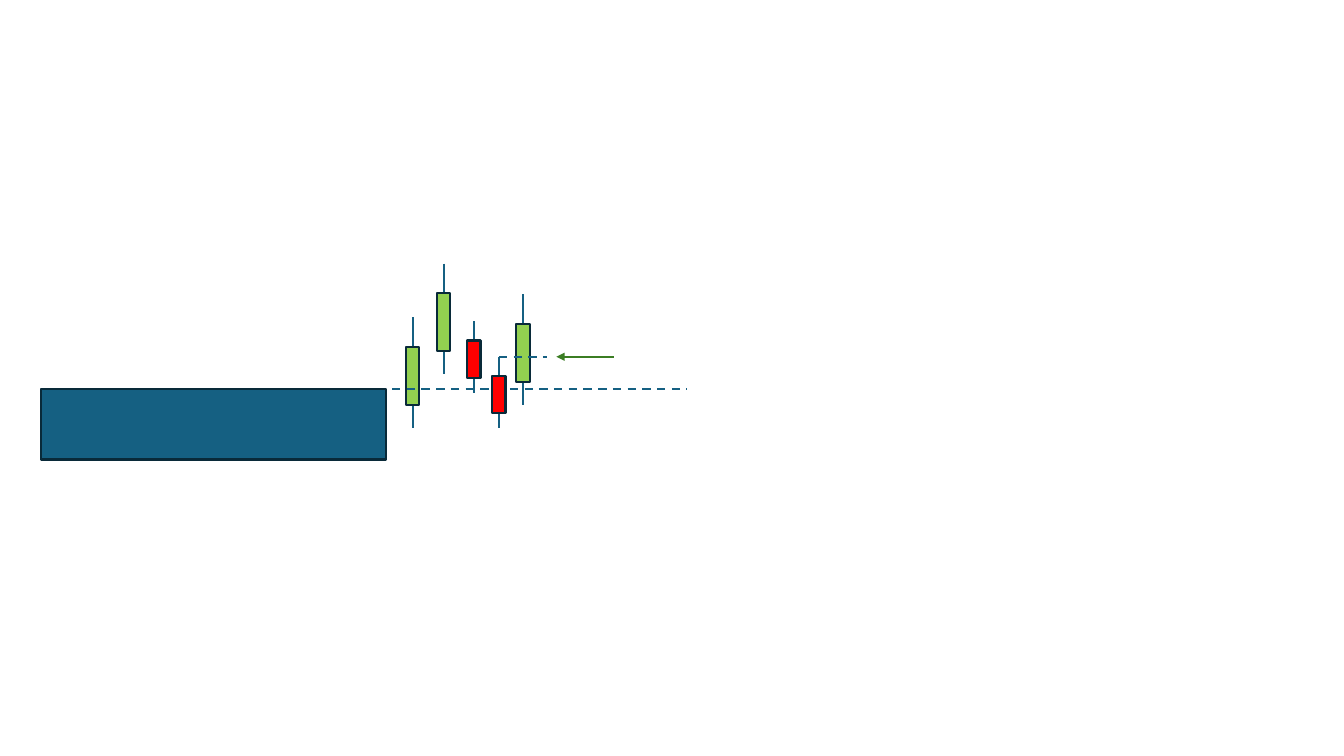
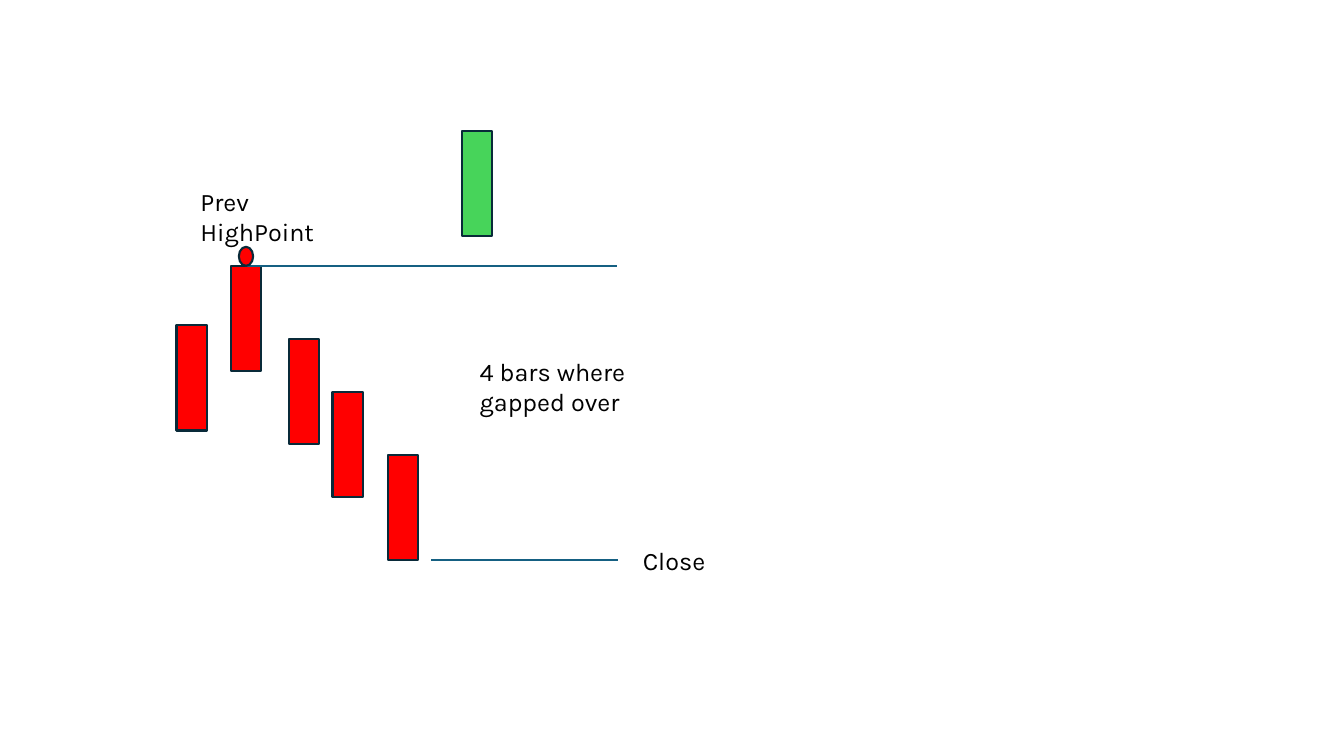
from pptx import Presentation
from pptx.dml.color import RGBColor
from pptx.enum.dml import MSO_LINE_DASH_STYLE as Dash
from pptx.enum.shapes import MSO_CONNECTOR as Connector, MSO_SHAPE as Shape
from pptx.enum.text import MSO_AUTO_SIZE as AutoSize
from pptx.oxml.ns import qn
from pptx.util import Cm, Pt
from lxml.etree import SubElement

BLUE, NAVY, BLACK = "156082", "092A39", "000000"
RED, LIME, GREEN, DARK_GREEN = "FF0000", "92D050", "47D45A", "3B7D23"


def rgb(value):
    return RGBColor.from_string(value)


class Deck:
    """Holds the shared style and the slide being drawn; lengths are in cm."""

    font, font_size, line_width = "Karla", 18, 1.5
    candle_width = 0.34
    bar_width, bar_height = 0.76, 2.65
    # Candle kind: colour, wick length, upper wick, body height
    candles = {
        "up": (LIME, 2.78, 0.74, 1.46),
        "down": (RED, 1.8, 0.48, 0.95),
    }

    def __init__(self):
        self.presentation = Presentation()
        self.presentation.slide_width = Cm(33.87)
        self.presentation.slide_height = Cm(19.05)
        self.slide = None

    def new_slide(self):
        blank = self.presentation.slide_layouts[6]
        self.slide = self.presentation.slides.add_slide(blank)

    def shape(self, left, top, width, height, fill, kind=Shape.RECTANGLE):
        shape = self.slide.shapes.add_shape(
            kind, Cm(left), Cm(top), Cm(width), Cm(height))
        shape.shadow.inherit = False
        shape.fill.solid()
        shape.fill.fore_color.rgb = rgb(fill)
        shape.line.color.rgb = rgb(NAVY)
        shape.line.width = Pt(self.line_width)

    def line(self, x1, y1, x2, y2, color=BLUE, dashed=False, arrow=False):
        connector = self.slide.shapes.add_connector(
            Connector.STRAIGHT, Cm(x1), Cm(y1), Cm(x2), Cm(y2))
        connector.line.color.rgb = rgb(color)
        connector.line.width = Pt(self.line_width)
        if dashed:
            connector.line.dash_style = Dash.DASH
        if arrow:
            outline = connector.line._get_or_add_ln()
            SubElement(outline, qn("a:tailEnd"), type="triangle")
        SubElement(connector._element.spPr, qn("a:effectLst"))

    def candle(self, kind, center, high):
        fill, wick, upper_wick, body = self.candles[kind]
        self.line(center, high, center, high + wick)
        self.shape(center - self.candle_width / 2, high + upper_wick,
                   self.candle_width, body, fill)

    def bar(self, left, top, fill=RED):
        self.shape(left, top, self.bar_width, self.bar_height, fill)

    def label(self, text, left, top, width, height):
        box = self.slide.shapes.add_textbox(
            Cm(left), Cm(top), Cm(width), Cm(height))
        frame = box.text_frame
        frame.word_wrap = True
        frame.auto_size = AutoSize.SHAPE_TO_FIT_TEXT
        run = frame.paragraphs[0].add_run()
        run.text = text
        run.font.name = self.font
        run.font.size = Pt(self.font_size)
        run.font.color.rgb = rgb(BLACK)


def draw_zone_retest(deck):
    deck.new_slide()
    zone_top, entry = 9.8, 8.99

    # Price zone and the candles its level crosses
    deck.shape(1.04, zone_top, 8.69, 1.78, BLUE)
    deck.candle("down", 11.94, 8.1)
    deck.candle("up", 10.4, 8)
    deck.line(9.88, zone_top, 17.32, zone_top, dashed=True)

    # Candles in front of the level
    for kind, center, high in (("up", 11.18, 6.64), ("down", 12.57, entry),
                               ("up", 13.18, 7.42)):
        deck.candle(kind, center, high)

    # Entry at the high of the last red candle
    deck.line(15.47, entry, 14.02, entry, DARK_GREEN, arrow=True)
    deck.line(12.57, entry, 13.79, entry, dashed=True)


def draw_gap_up(deck):
    deck.new_slide()
    high, close = 6.7, 14.12

    # Falling bars, then the gap up
    for left, top in ((4.45, 8.2), (5.82, high), (7.28, 8.54),
                      (8.38, 9.88), (9.78, close - deck.bar_height)):
        deck.bar(left, top)
    deck.bar(11.65, 3.3, GREEN)

    # Close and previous high levels
    deck.line(10.87, close, 15.57, close)
    deck.line(6.18, high, 15.54, high)

    # Labels and high point marker
    deck.label("4 bars where gapped over", 11.84, 8.86, 4.7, 1.8)
    deck.label("Close", 15.95, 13.61, 4.7, 1.02)
    deck.label("Prev HighPoint", 4.8, 4.56, 4.32, 1.8)
    deck.shape(6.02, high - 0.48, 0.36, 0.48, RED, Shape.OVAL)


def main():
    deck = Deck()
    draw_zone_retest(deck)
    draw_gap_up(deck)
    deck.presentation.save("out.pptx")


if __name__ == "__main__":
    main()
